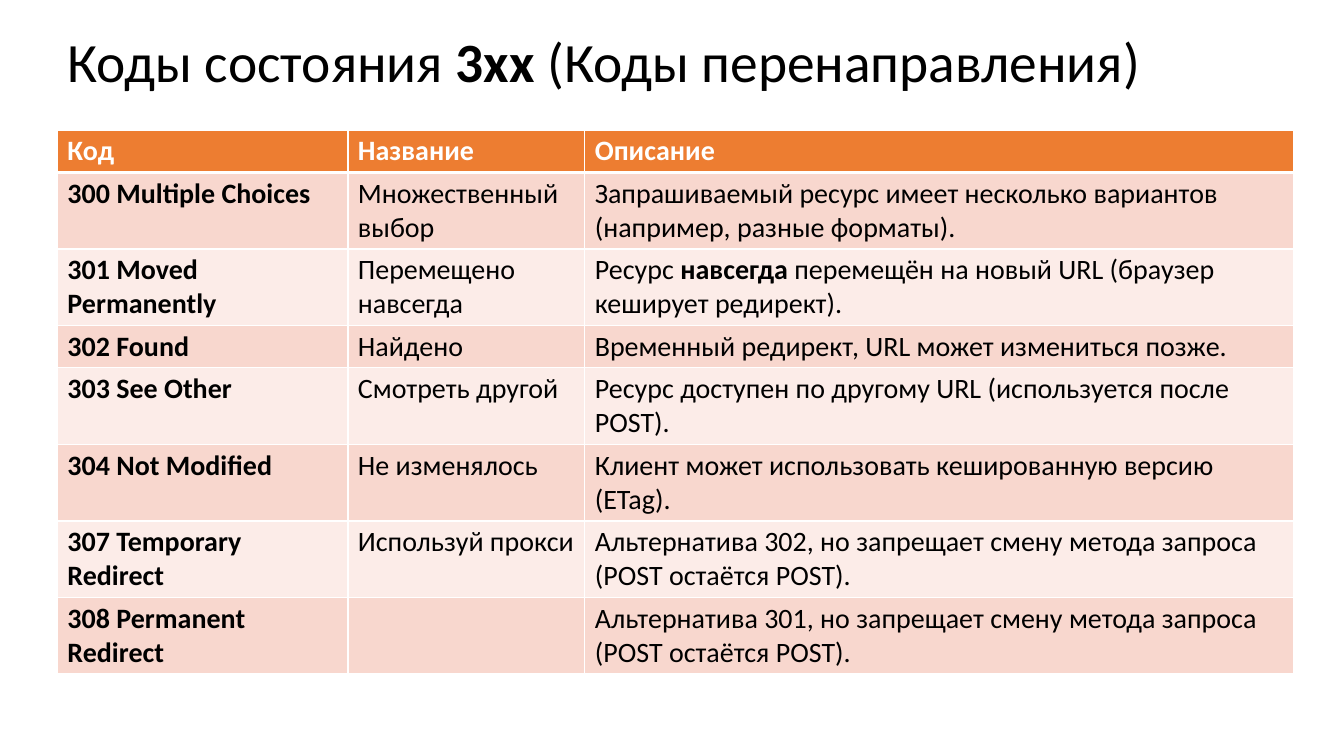
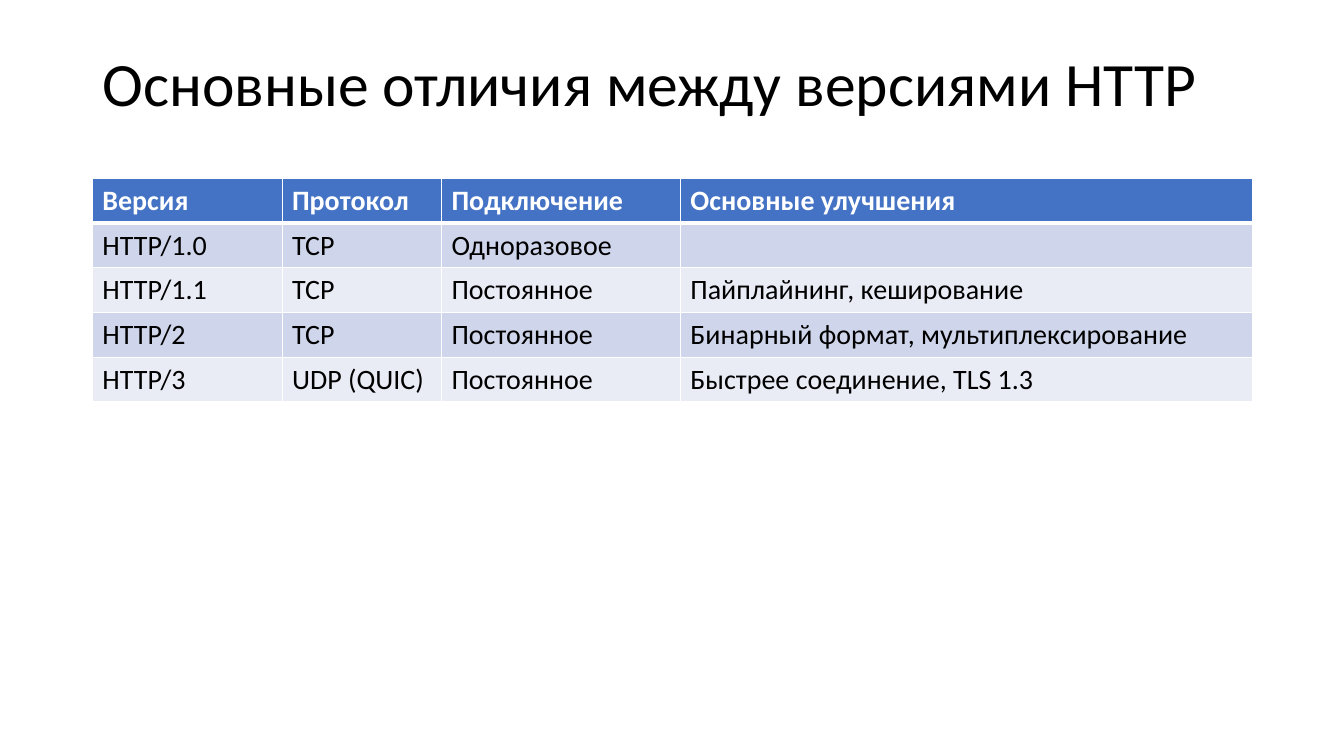
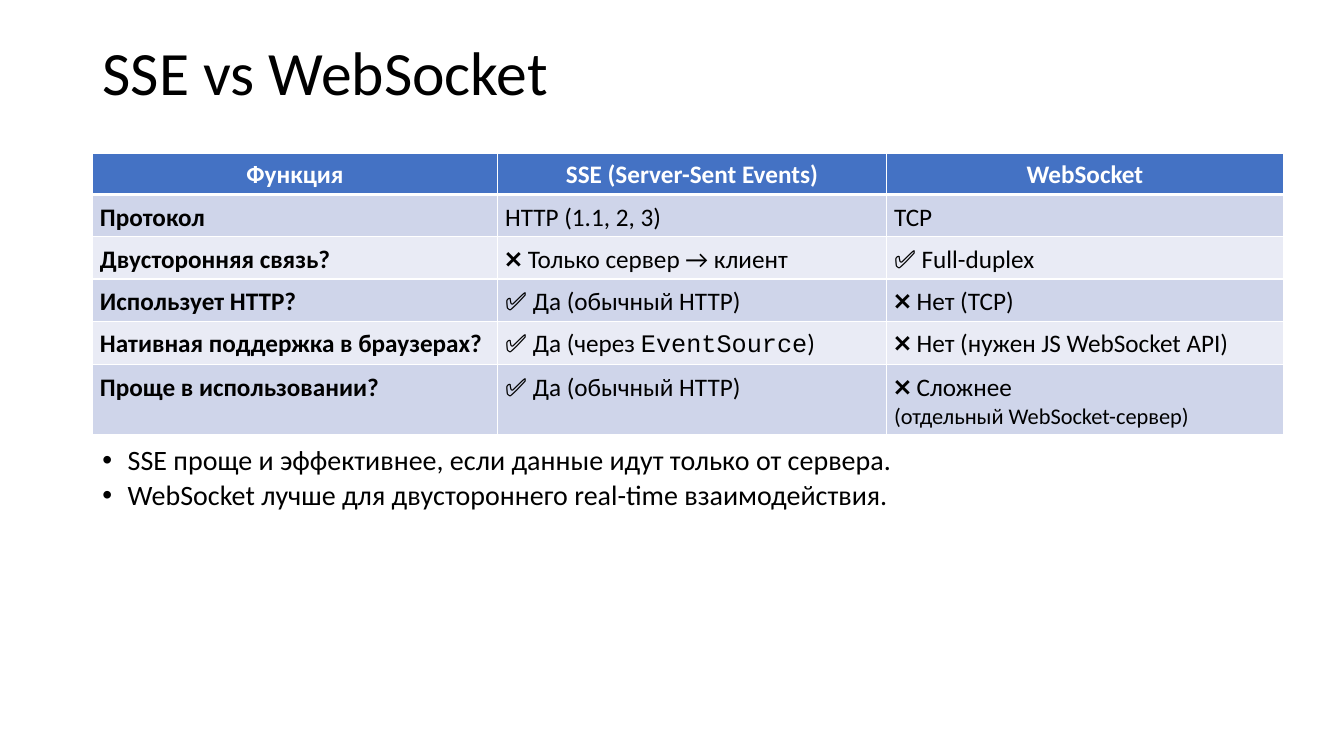
import pptx
import pptx.dml.color
import pptx.enum.text
import pptx.oxml
import pptx.oxml.ns
import pptx.util
from pptx.util import Cm

COLORS = {
    "text": "000000",
    "white": "FFFFFF",
    "orange": "ED7D31",
    "orange_dark_band": "F8D7CE",
    "orange_light_band": "FCECE8",
    "blue": "4472C4",
    "blue_dark_band": "CFD5EA",
    "blue_light_band": "E9EBF5",
}
FONT = "Calibri"
CODE_FONT = "Courier New"
ANCHOR = pptx.enum.text.MSO_ANCHOR
ALIGN = pptx.enum.text.PP_ALIGN
NAMESPACE = pptx.oxml.ns.nsdecls("a")


class Deck:
    def __init__(self):
        self.presentation = pptx.Presentation()
        self.presentation.slide_width = Cm(33.87)
        self.presentation.slide_height = Cm(19.05)
        self.slide = None

    def color(self, name):
        return pptx.dml.color.RGBColor.from_string(COLORS[name])

    def add_text(self, paragraph, content, size, color="text", bold=False):
        parts = [(content, {})] if isinstance(content, str) else content
        for text, style in parts:
            run = paragraph.add_run()
            run.text = text.rstrip("\n")
            run.font.name = style.get("font", FONT)
            run.font.size = pptx.util.Pt(style.get("size", size))
            run.font.bold = style.get("bold", bold)
            run.font.color.rgb = self.color(color)
            if text.endswith("\n"):
                paragraph.add_line_break()

    def add_slide(self, title, left, top, height=2.33, size=44):
        self.slide = self.presentation.slides.add_slide(self.presentation.slide_layouts[5])
        shape = self.slide.shapes.title
        shape.left, shape.top = Cm(left), Cm(top)
        shape.width, shape.height = Cm(29.21), Cm(height)
        frame = shape.text_frame
        frame.word_wrap = True
        frame.auto_size = pptx.enum.text.MSO_AUTO_SIZE.NONE
        frame.vertical_anchor = ANCHOR.MIDDLE
        paragraph = frame.paragraphs[0]
        paragraph.alignment = ALIGN.LEFT
        paragraph.line_spacing = 0.9
        self.add_text(paragraph, title, size)

    def add_borders(self, cell, top, bottom):
        properties = cell._tc.get_or_add_tcPr()
        for side, points in (("L", 1), ("R", 1), ("T", top), ("B", bottom)):
            properties.append(pptx.oxml.parse_xml(
                f'<a:ln{side} {NAMESPACE} w="{points * 12700}"><a:solidFill>'
                f'<a:srgbClr val="{COLORS["white"]}"/></a:solidFill></a:ln{side}>'))

    def add_table(self, left, top, widths, rows, theme, size=20, bold_first=False,
                  header_margins=(0.25, 0.1), body_margins=(0.25, 0.1, 0.1),
                  header_align=ALIGN.LEFT, header_anchor=ANCHOR.TOP):
        row_height = 1.04
        table = self.slide.shapes.add_table(
            len(rows), len(widths), Cm(left), Cm(top),
            Cm(sum(widths)), Cm(row_height * len(rows))).table
        for column, width in zip(table.columns, widths):
            column.width = Cm(width)
        for row_index, row in enumerate(rows):
            table.rows[row_index].height = Cm(row_height)
            header = row_index == 0
            band = theme if header else f"{theme}_{'dark' if row_index % 2 else 'light'}_band"
            side, upper, lower = (*header_margins, header_margins[1]) if header else body_margins
            for column_index, content in enumerate(row):
                cell = table.cell(row_index, column_index)
                self.add_borders(cell, 3 if row_index == 1 else 1, 3 if header else 1)
                cell.fill.solid()
                cell.fill.fore_color.rgb = self.color(band)
                cell.margin_left = cell.margin_right = Cm(side)
                cell.margin_top, cell.margin_bottom = Cm(upper), Cm(lower)
                cell.vertical_anchor = header_anchor if header else ANCHOR.TOP
                paragraph = cell.text_frame.paragraphs[0]
                paragraph.alignment = header_align if header else ALIGN.LEFT
                if content:
                    self.add_text(paragraph, content, size, "white" if header else "text",
                                  header or (bold_first and column_index == 0))

    def add_bullets(self, left, top, width, height, lines, size=20):
        shape = self.slide.shapes.add_textbox(Cm(left), Cm(top), Cm(width), Cm(height))
        frame = shape.text_frame
        frame.word_wrap = True
        for index, line in enumerate(lines):
            paragraph = frame.add_paragraph() if index else frame.paragraphs[0]
            properties = paragraph._p.get_or_add_pPr()
            properties.set("marL", str(Cm(0.64)))
            properties.set("indent", str(-Cm(0.64)))
            properties.append(pptx.oxml.parse_xml(f'<a:buFont {NAMESPACE} typeface="Arial"/>'))
            properties.append(pptx.oxml.parse_xml(f'<a:buChar {NAMESPACE} char="•"/>'))
            paragraph.line_spacing = 0.9
            if index:
                paragraph.space_before = pptx.util.Pt(3)
            self.add_text(paragraph, line, size)


def main():
    deck = Deck()

    deck.add_slide(
        [("Коды состояния ", {}), ("3xx ", {"bold": True}), ("(Коды перенаправления)", {})],
        1.45, 0.69, height=1.85, size=39.6)
    deck.add_table(1.45, 3.28, [7.32, 5.97, 17.86], [
        ["Код", "Название", "Описание"],
        ["300 Multiple Choices", "Множественный выбор",
         "Запрашиваемый ресурс имеет несколько вариантов (например, разные форматы)."],
        ["301 Moved Permanently", "Перемещено навсегда",
         [("Ресурс ", {}), ("навсегда", {"bold": True}),
          (" перемещён на новый URL (браузер кеширует редирект).", {})]],
        ["302 Found", "Найдено", "Временный редирект, URL может измениться позже."],
        ["303 See Other", "Смотреть другой",
         "Ресурс доступен по другому URL (используется после POST)."],
        ["304 Not Modified", "Не изменялось",
         "Клиент может использовать кешированную версию (ETag)."],
        ["307 Temporary Redirect", "Используй прокси",
         "Альтернатива 302, но запрещает смену метода запроса (POST остаётся POST)."],
        ["308 Permanent Redirect", "",
         "Альтернатива 301, но запрещает смену метода запроса (POST остаётся POST)."],
    ], "orange", bold_first=True)

    deck.add_slide("Основные отличия между версиями HTTP", 2.33, 1.02)
    deck.add_table(2.33, 4.5, [4.78, 4.02, 6.02, 14.43], [
        ["Версия", "Протокол", "Подключение", "Основные улучшения"],
        ["HTTP/1.0", "TCP", "Одноразовое", ""],
        ["HTTP/1.1", "TCP", "Постоянное", "Пайплайнинг, кеширование"],
        ["HTTP/2", "TCP", "Постоянное", "Бинарный формат, мультиплексирование"],
        ["HTTP/3", "UDP (QUIC)", "Постоянное", "Быстрее соединение, TLS 1.3"],
    ], "blue", header_margins=(0.25, 0.13), body_margins=(0.25, 0.13, 0.13))

    deck.add_slide("SSE vs WebSocket", 2.33, 0.74)
    deck.add_table(2.33, 3.86, [10.21, 9.8, 10], [
        ["Функция", "SSE (Server-Sent Events)", "WebSocket"],
        ["Протокол", "HTTP (1.1, 2, 3)", "TCP"],
        ["Двусторонняя связь?", "❌ Только сервер → клиент", "✅ Full-duplex"],
        ["Использует HTTP?", "✅ Да (обычный HTTP)", "❌ Нет (TCP)"],
        ["Нативная поддержка в браузерах?",
         [("✅ Да (через ", {}), ("EventSource", {"font": CODE_FONT}), (")", {})],
         "❌ Нет (нужен JS WebSocket API)"],
        ["Проще в использовании?", "✅ Да (обычный HTTP)",
         [("❌ Сложнее\n", {}), ("(отдельный WebSocket-сервер)", {"size": 16})]],
    ], "blue", size=18, bold_first=True, header_margins=(0.19, 0.1),
        body_margins=(0.19, 0.19, 0.1), header_align=ALIGN.CENTER, header_anchor=ANCHOR.BOTTOM)
    deck.add_bullets(2.33, 11.13, 29.21, 2.01, [
        "SSE проще и эффективнее, если данные идут только от сервера.",
        "WebSocket лучше для двустороннего real-time взаимодействия.",
    ])

    deck.presentation.save("out.pptx")


if __name__ == "__main__":
    main()
